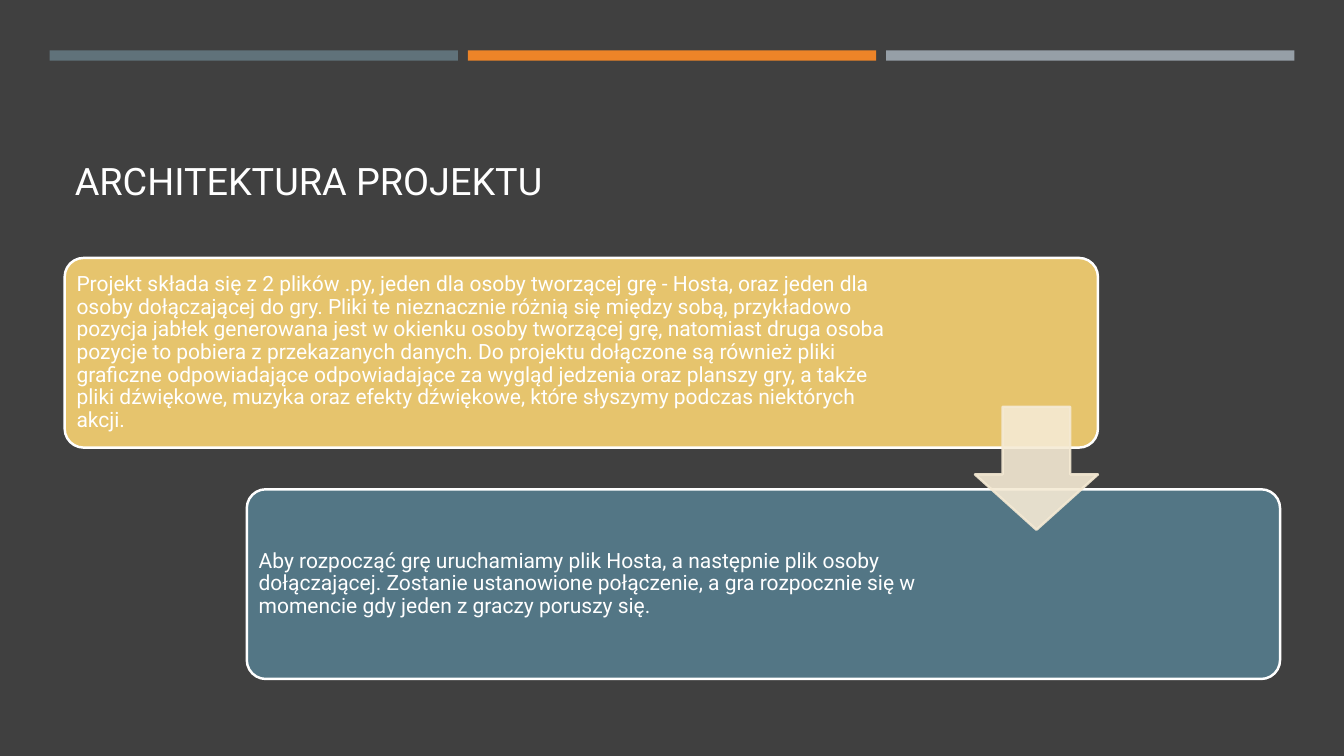
from dataclasses import dataclass

from lxml.etree import SubElement
from pptx import Presentation
from pptx.dml.color import RGBColor
from pptx.enum.shapes import MSO_SHAPE as Preset
from pptx.enum.text import MSO_ANCHOR as Anchor, PP_ALIGN as Align
from pptx.oxml.ns import qn
from pptx.shapes.autoshape import Shape
from pptx.slide import Slide
from pptx.text.text import TextFrame
from pptx.util import Cm, Pt

CHARCOAL = RGBColor(0x40, 0x40, 0x40)
WHITE = RGBColor(0xFF, 0xFF, 0xFF)
SLATE = RGBColor(0x60, 0x72, 0x7A)
ORANGE = RGBColor(0xED, 0x84, 0x28)
SILVER = RGBColor(0x96, 0x9F, 0xA7)
GOLD = RGBColor(0xE6, 0xC4, 0x6D)
TEAL = RGBColor(0x53, 0x76, 0x85)
CREAM = RGBColor(0xF5, 0xEA, 0xD4)

FONT = "Roboto"
BAR_LEFT, BAR_TOP, BAR_WIDTH, BAR_HEIGHT, BAR_PITCH = 1.25, 1.27, 10.29, 0.26, 10.64
CARD_LEFT, CARD_TOP, CARD_WIDTH, CARD_HEIGHT = 1.63, 6.5, 26.04, 4.78
STEP_RIGHT, STEP_DOWN = 4.59, 5.83
CARD_PADDING = 0.14
ARROW_SIZE = 3.1


@dataclass(frozen=True)
class Card:
    text: str
    color: RGBColor
    text_width: float


CARDS = [
    Card(
        "Projekt składa się z 2 plików .py, jeden dla osoby tworzącej grę - Hosta, "
        "oraz jeden dla osoby dołączającej do gry. Pliki te nieznacznie różnią się "
        "między sobą, przykładowo pozycja jabłek generowana jest w okienku osoby "
        "tworzącej grę, natomiast druga osoba pozycje to pobiera z przekazanych danych. "
        "Do projektu dołączone są również pliki graficzne odpowiadające odpowiadające "
        "za wygląd jedzenia oraz planszy gry, a także pliki dźwiękowe, muzyka oraz "
        "efekty dźwiękowe, które słyszymy podczas niektórych akcji.",
        GOLD,
        21.11,
    ),
    Card(
        "Aby rozpocząć grę uruchamiamy plik Hosta, a następnie plik osoby dołączającej. "
        "Zostanie ustanowione połączenie, a gra rozpocznie się w momencie gdy jeden "
        "z graczy poruszy się.",
        TEAL,
        18.06,
    ),
]


def add_filled(page: Slide, preset: Preset, left: float, top: float,
               width: float, height: float, color: RGBColor,
               outline: RGBColor | None = None) -> Shape:
    shape = page.shapes.add_shape(preset, Cm(left), Cm(top), Cm(width), Cm(height))
    shape.shadow.inherit = False
    shape.fill.solid()
    shape.fill.fore_color.rgb = color
    if outline is None:
        shape.line.fill.background()
    else:
        shape.line.color.rgb = outline
        shape.line.width = Pt(1.75)
    return shape


def write(frame: TextFrame, text: str, size: float, anchor: Anchor) -> None:
    frame.word_wrap = True
    frame.vertical_anchor = anchor
    frame.text = text
    para = frame.paragraphs[0]
    para.alignment = Align.LEFT
    para.line_spacing = 0.9
    para.font.name = FONT
    para.font.size = Pt(size)
    para.font.color.rgb = WHITE


def add_title(page: Slide, text: str) -> None:
    title = page.shapes.title
    title.left, title.top, title.width, title.height = Cm(1.63), Cm(1.96), Cm(30.63), Cm(3.3)
    write(title.text_frame, text, 27, Anchor.BOTTOM)


def add_card(page: Slide, card: Card, left: float, top: float) -> None:
    panel = add_filled(page, Preset.ROUNDED_RECTANGLE, left, top,
                       CARD_WIDTH, CARD_HEIGHT, card.color, WHITE)
    panel.adjustments[0] = 0.1
    box = page.shapes.add_textbox(Cm(left + CARD_PADDING), Cm(top + CARD_PADDING),
                                  Cm(card.text_width), Cm(CARD_HEIGHT - 2 * CARD_PADDING))
    frame = box.text_frame
    frame.margin_left = frame.margin_right = Cm(0.16)
    frame.margin_top = frame.margin_bottom = Cm(0.16)
    write(frame, card.text, 15, Anchor.MIDDLE)


def add_arrow(page: Slide, left: float, top: float) -> None:
    arrow = add_filled(page, Preset.DOWN_ARROW, left, top,
                       ARROW_SIZE, ARROW_SIZE, CREAM, CREAM)
    arrow.adjustments[0] = 0.55
    arrow.adjustments[1] = 0.45
    for color in arrow.element.spPr.iter(qn("a:srgbClr")):
        SubElement(color, qn("a:alpha"), val="90000")


def main() -> None:
    deck = Presentation()
    deck.slide_width, deck.slide_height = Cm(33.87), Cm(19.05)
    page = deck.slides.add_slide(deck.slide_layouts[5])
    page.background.fill.solid()
    page.background.fill.fore_color.rgb = CHARCOAL

    add_title(page, "ARCHITEKTURA PROJEKTU")
    for index, color in enumerate((SLATE, ORANGE, SILVER)):
        add_filled(page, Preset.RECTANGLE, BAR_LEFT + index * BAR_PITCH - index * 0.1,
                   BAR_TOP, BAR_WIDTH, BAR_HEIGHT, color)
    for index, card in enumerate(CARDS):
        add_card(page, card, CARD_LEFT + index * STEP_RIGHT, CARD_TOP + index * STEP_DOWN)
    add_arrow(page, CARD_LEFT + CARD_WIDTH - ARROW_SIZE, 10.25)

    deck.save("out.pptx")


if __name__ == "__main__":
    main()
